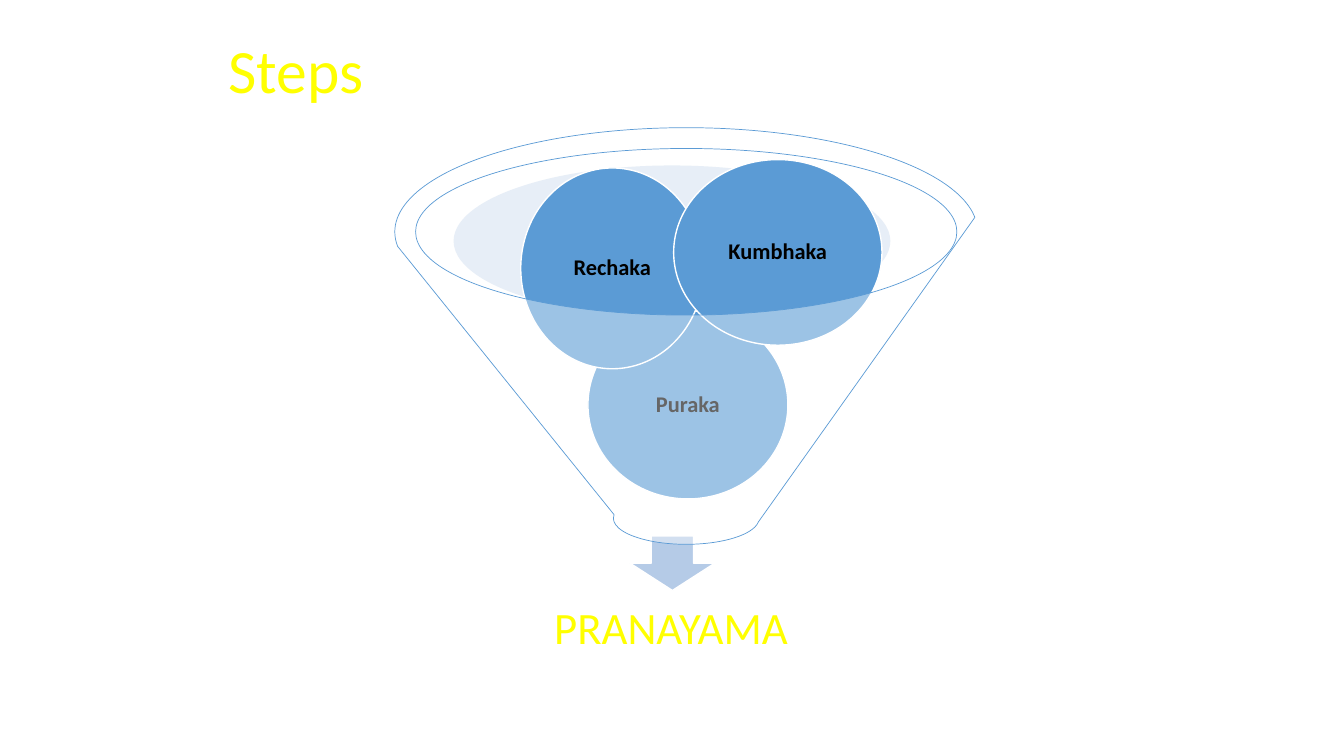
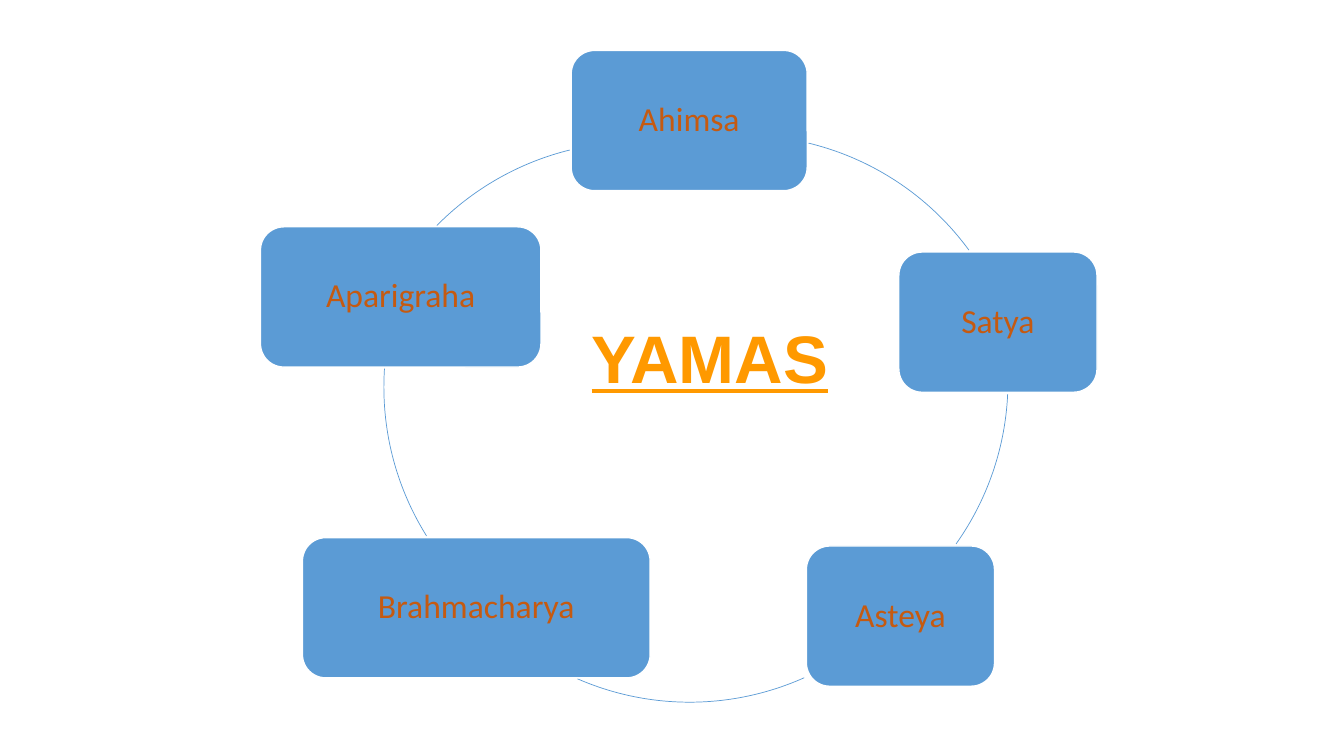
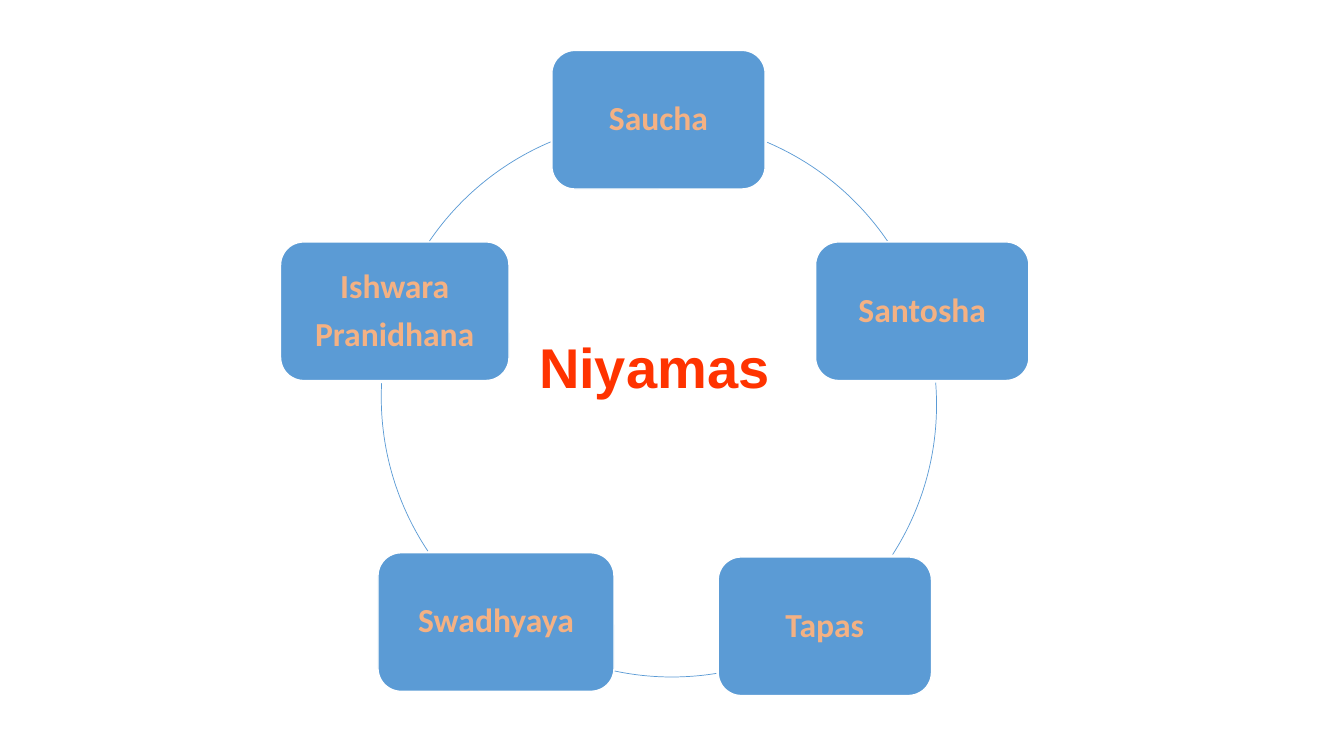
from lxml import etree
from pptx import Presentation
from pptx import util as u
from pptx.dml.color import RGBColor
from pptx.enum import shapes, text
from pptx.oxml.ns import qn

# Shared look and grid: 160 columns by 90 rows
WIDTH, HEIGHT = u.Inches(13.333), u.Inches(7.5)
COLUMN, ROW = WIDTH / 160, HEIGHT / 90
BLUE, WHITE, YELLOW = "5B9BD5", "FFFFFF", "FFFF00"
KIND = shapes.MSO_SHAPE
CENTER, LEFT = text.PP_ALIGN.CENTER, text.PP_ALIGN.LEFT


def add_figure(slide, kind, place, fill=None, line=None, weight=1, opacity=None):
    """Add a preset shape; place is left, top, width, height in grid cells."""
    left, top, width, height = place
    shape = slide.shapes.add_shape(kind, int(left * COLUMN), int(top * ROW),
                                   int(width * COLUMN), int(height * ROW))
    shape.shadow.inherit = False
    if fill:
        shape.fill.solid()
        shape.fill.fore_color.rgb = RGBColor.from_string(fill)
    else:
        shape.fill.background()
    if line:
        shape.line.color.rgb = RGBColor.from_string(line)
        shape.line.width = u.Pt(weight)
    else:
        shape.line.fill.background()
    if opacity:
        color = shape.fill._xPr.find(qn("a:solidFill"))[0]
        etree.SubElement(color, qn("a:alpha")).set("val", str(opacity * 1000))
    return shape


def write(shape, words, size, color, font="Calibri", bold=False, underline=False,
          align=CENTER, spacing=0.9, margin=0.1):
    """Fill a shape with middle-anchored text, one paragraph per line."""
    frame = shape.text_frame
    frame.word_wrap = True
    frame.vertical_anchor = text.MSO_ANCHOR.MIDDLE
    frame.margin_left = frame.margin_right = u.Inches(margin)
    frame.margin_top = frame.margin_bottom = u.Inches(margin / 2)
    frame.text = words
    for paragraph in frame.paragraphs:
        paragraph.alignment = align
        paragraph.line_spacing = spacing
        paragraph.space_after = u.Pt(round(size * 0.35, 1))
        for run in paragraph.runs:
            run.font.name, run.font.size = font, u.Pt(size)
            run.font.bold, run.font.underline = bold, underline
            run.font.color.rgb = RGBColor.from_string(color)


presentation = Presentation()
presentation.slide_width, presentation.slide_height = WIDTH, HEIGHT
blank = presentation.slide_layouts[6]

# Slide 1: three steps in a funnel
slide = presentation.slides.add_slide(blank)
title = slide.shapes.add_textbox(int(26 * COLUMN), int(3.6 * ROW),
                                 int(108 * COLUMN), int(10.4 * ROW))
write(title, "Steps", 44, YELLOW, align=LEFT)
add_figure(slide, KIND.OVAL, (54, 19.7, 52, 18), "C4D5EB", opacity=40)
add_figure(slide, KIND.DOWN_ARROW, (75, 63.8, 10.1, 6.5), "B5CBE7", WHITE)
result = slide.shapes.add_textbox(int(55.8 * COLUMN), int(69 * ROW),
                                  int(48.2 * COLUMN), int(12.1 * ROW))
write(result, "PRANAYAMA", 32, YELLOW, margin=0.25)

steps = [
    ("Puraka", (70, 37, 23.8, 22.4)),
    ("Rechaka", (62, 20, 21.8, 23.9)),
    ("Kumbhaka", (80.2, 19, 24.8, 22.1)),
]
for name, place in steps:
    ball = add_figure(slide, KIND.OVAL, place, BLUE, WHITE)
    write(ball, name, 16, "000000", bold=True, margin=0.02)
add_figure(slide, KIND.FUNNEL, (47, 15.2, 69.4, 49.6), WHITE, BLUE, 0.5, opacity=40)

# Slides 2 and 3: five nodes joined by arcs around a heading
# Node: name, left, top, width; arc to the next node: left, top, start and end degrees
yamas = [
    ("Ahimsa", 68, 6, 28.1, 55, 16.1, 283.6, 323.8),
    ("Satya", 107, 30, 23.6, 53.2, 12, 2.6, 35.4),
    ("Asteya", 96, 65, 22.4, 48.7, 16.8, 65.9, 113.6),
    ("Brahmacharya", 36, 64, 41.4, 45.7, 12.7, 148, 183.8),
    ("Aparigraha", 31, 27, 33.4, 42.4, 16.9, 224.6, 256.2),
]
niyamas = [
    ("Saucha", 65.7, 6, 25.4, 45.4, 14.3, 293.1, 325.8),
    ("Santosha", 97.1, 28.8, 25.4, 45.5, 15.2, 355.4, 32.7),
    ("Tapas", 85.5, 66.3, 25.4, 47, 14.6, 80.8, 102),
    ("Swadhyaya", 45, 65.8, 28.1, 45.4, 14.3, 146.3, 182.9),
    ("Ishwara\nPranidhana", 33.4, 28.8, 27.2, 45.4, 14.3, 214.3, 247.1),
]
cycles = [
    (yamas, 16.7, 66.8, "C55A11", False, "YAMAS", (68, 37, 33, 10.9),
     dict(size=48, color="FF9900", underline=True)),
    (niyamas, 16.5, 66, "F4B183", True, "Niyamas", (63, 39, 31, 9.2),
     dict(size=40, color="FF3300", align=LEFT)),
]
for nodes, node_height, diameter, color, bold, heading, place, style in cycles:
    slide = presentation.slides.add_slide(blank)
    for name, left, top, width, arc_left, arc_top, start, end in nodes:
        node = add_figure(slide, KIND.ROUNDED_RECTANGLE,
                          (left, top, width, node_height), BLUE, WHITE)
        write(node, name, 24, color, bold=bold)
        arc = add_figure(slide, KIND.ARC, (arc_left, arc_top, diameter, diameter),
                         line=BLUE, weight=0.5)
        # One degree is 0.6 adjustment units
        arc.adjustments[0], arc.adjustments[1] = start * 0.6, end * 0.6
    left, top, width, height = place
    center = slide.shapes.add_textbox(int(left * COLUMN), int(top * ROW),
                                      int(width * COLUMN), int(height * ROW))
    write(center, heading, font="Arial", bold=True, spacing=1.0, **style)

presentation.save("out.pptx")
